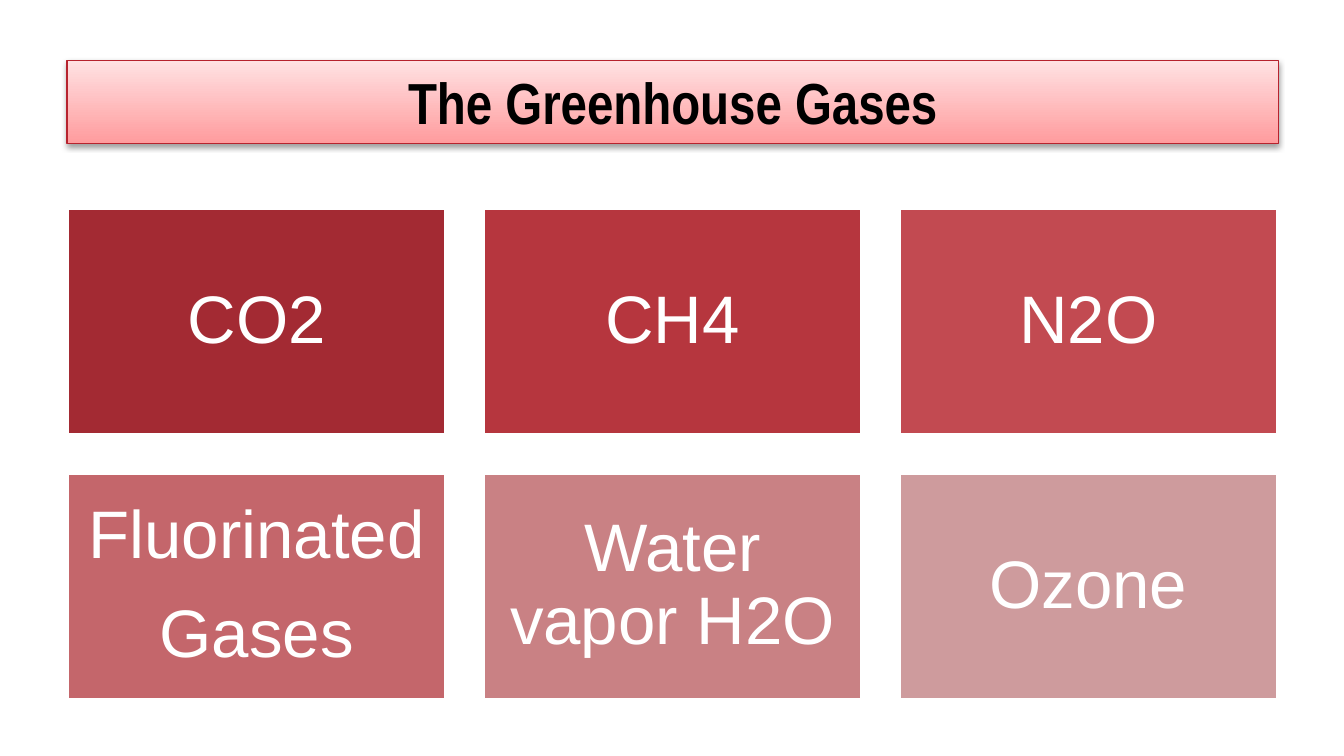
import lxml.etree
import pptx
import pptx.dml.color
import pptx.enum.shapes
import pptx.enum.text
import pptx.oxml.ns
import pptx.util
from pptx.util import Cm

GASES = [
    ("CO2", "A32A33"),
    ("CH4", "B6363E"),
    ("N2O", "C24A51"),
    ("Fluorinated\nGases", "C4666B"),
    ("Water vapor H2O", "C98184"),
    ("Ozone", "CE9B9D"),
]
COLUMNS = 3
LEFT, TOP = 1.27, 3.94
TILE_WIDTH, TILE_HEIGHT = 7.16, 4.29
COLUMN_STEP, ROW_STEP = 7.86, 5.0


def color(hex_string):
    return pptx.dml.color.RGBColor.from_string(hex_string)


def add_rectangle(slide, left, top, width, height, line, line_width):
    shape = slide.shapes.add_shape(
        pptx.enum.shapes.MSO_SHAPE.RECTANGLE, Cm(left), Cm(top), Cm(width), Cm(height)
    )
    shape.shadow.inherit = False
    shape.line.color.rgb = color(line)
    shape.line.width = pptx.util.Pt(line_width)
    return shape


def write_text(shape, text, *, font, size, hex_color, bold=False, inset=0.25,
               line_spacing=1.0, space_after=0):
    frame = shape.text_frame
    frame.word_wrap = True
    frame.vertical_anchor = pptx.enum.text.MSO_ANCHOR.MIDDLE
    frame.margin_left = frame.margin_right = Cm(inset)
    frame.margin_top = frame.margin_bottom = Cm(inset)
    frame.text = text
    for paragraph in frame.paragraphs:
        paragraph.alignment = pptx.enum.text.PP_ALIGN.CENTER
        paragraph.line_spacing = line_spacing
        paragraph.space_after = pptx.util.Pt(space_after)
        for run in paragraph.runs:
            run.font.name = font
            run.font.size = pptx.util.Pt(size)
            run.font.bold = bold
            run.font.color.rgb = color(hex_color)


def fill_downward(shape, top_color, bottom_color):
    shape.fill.gradient()
    shape.fill.gradient_angle = 270
    for stop, hex_color in zip(shape.fill.gradient_stops, (top_color, bottom_color)):
        stop.color.rgb = color(hex_color)


def add_shadow(shape):
    qn = pptx.oxml.ns.qn
    effects = shape.element.spPr.find(qn("a:effectLst"))
    shadow = lxml.etree.SubElement(
        effects, qn("a:outerShdw"), blurRad="40000", dist="20000", dir="5400000", rotWithShape="0"
    )
    black = lxml.etree.SubElement(shadow, qn("a:srgbClr"), val="000000")
    lxml.etree.SubElement(black, qn("a:alpha"), val="38000")


def add_title(slide, text):
    shape = add_rectangle(slide, LEFT, 1.14, 22.89, 1.57, "B6232E", 0.75)
    fill_downward(shape, "FFE2E3", "FF9C9E")
    add_shadow(shape)
    write_text(shape, text, font="Arial Narrow", size=31, hex_color="000000", bold=True)


def add_tile(slide, index, text, fill):
    row, column = divmod(index, COLUMNS)
    shape = add_rectangle(
        slide, LEFT + column * COLUMN_STEP, TOP + row * ROW_STEP,
        TILE_WIDTH, TILE_HEIGHT, "FFFFFF", 2
    )
    shape.fill.solid()
    shape.fill.fore_color.rgb = color(fill)
    write_text(shape, text, font="Arial", size=36, hex_color="FFFFFF", inset=0.38,
               line_spacing=0.9, space_after=14)


def main():
    presentation = pptx.Presentation()
    presentation.slide_width = Cm(25.4)
    presentation.slide_height = Cm(14.29)
    slide = presentation.slides.add_slide(presentation.slide_layouts[6])
    add_title(slide, "The Greenhouse Gases")
    for index, (text, fill) in enumerate(GASES):
        add_tile(slide, index, text, fill)
    presentation.save("out.pptx")


if __name__ == "__main__":
    main()
